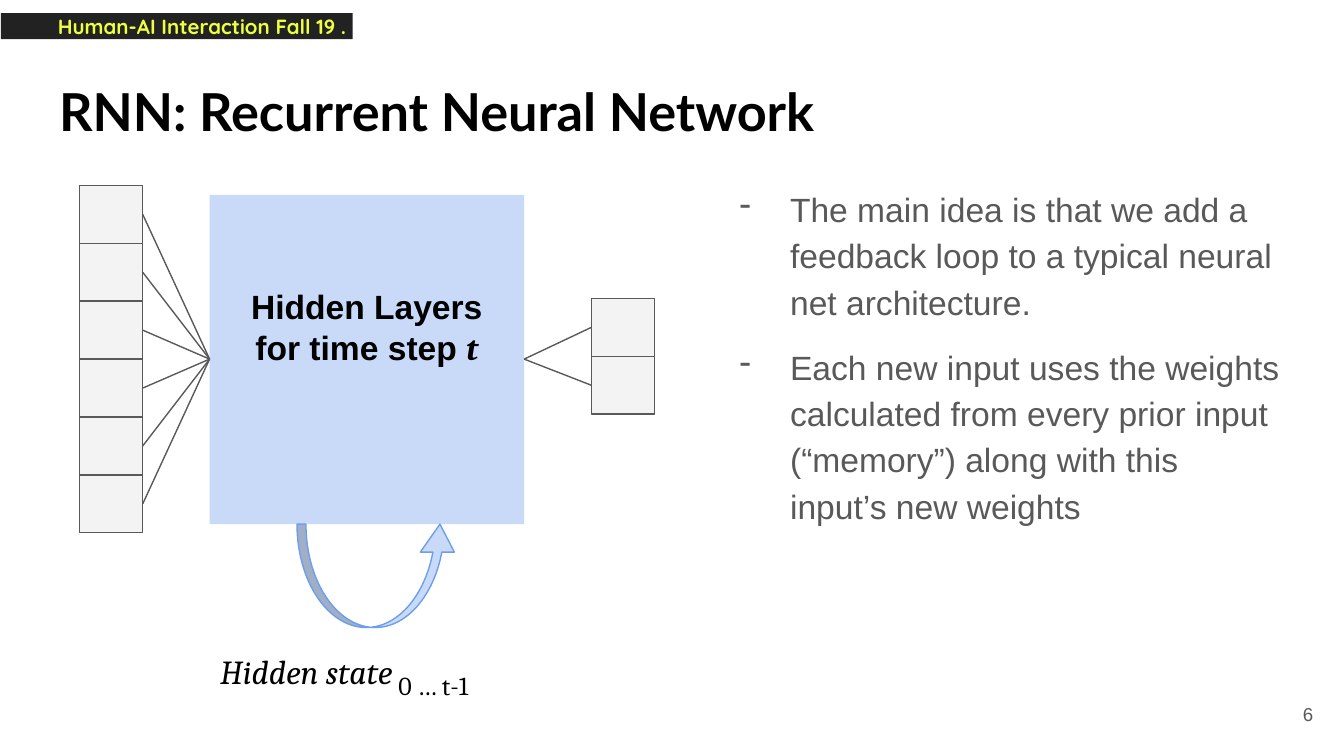
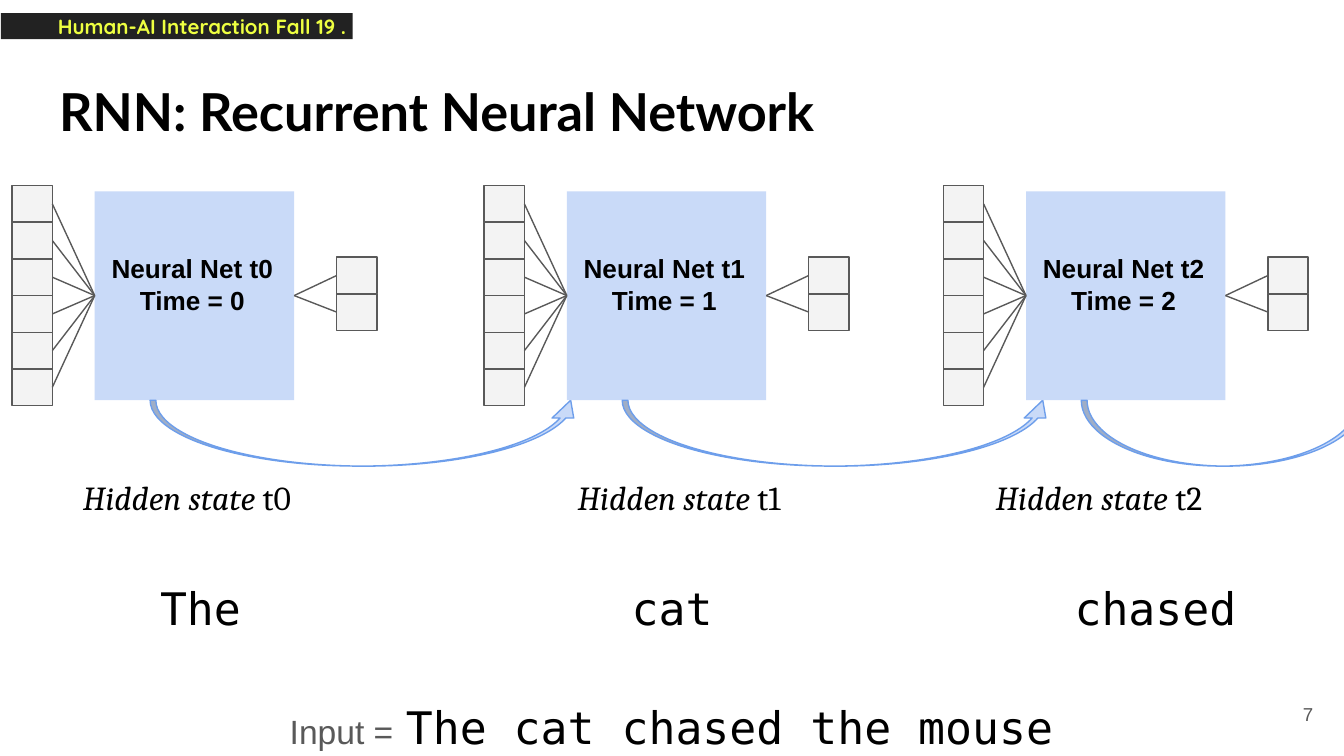
"""Build two slides that explain recurrent neural networks."""
from lxml.etree import SubElement
from pptx import Presentation
from pptx.dml.color import RGBColor
from pptx.enum.shapes import MSO_CONNECTOR, MSO_SHAPE
from pptx.enum.text import MSO_ANCHOR, MSO_AUTO_SIZE, PP_ALIGN
from pptx.oxml.ns import qn
from pptx.util import Pt

BLACK = RGBColor(0x00, 0x00, 0x00)
GREY = RGBColor(0x59, 0x59, 0x59)
CELL_FILL = RGBColor(0xF3, 0xF3, 0xF3)
PALE_BLUE = RGBColor(0xC9, 0xDA, 0xF8)
LOOP_BLUE = RGBColor(0x6D, 0x9E, 0xEB)
BAND_DARK = RGBColor(0x22, 0x22, 0x22)
BAND_YELLOW = RGBColor(0xEE, 0xFF, 0x41)

SANS, SERIF, MONO = "Arial", "Cambria", "DejaVu Sans Mono"
TITLE = "RNN: Recurrent Neural Network"
COURSE = "Human-AI Interaction Fall 19 ."

INSET = 7.2
NET_TOP = 99.4
CELL_W, CELL_H = 34, 31
INPUTS, OUTPUTS = 6, 2
HIDDEN_X, HIDDEN_Y, HIDDEN_W, HIDDEN_H = 69.8, 5, 168.5, 176.4
OUTPUT_X, OUTPUT_Y = 274.3, 60.5
LOOP_X = 116.6
UNROLLED_SCALE = 0.634


def style_font(font, size=None, name=None, color=None, bold=None, italic=None):
    """Apply the given font settings and leave the others alone."""
    if size:
        font.size = Pt(size)
    if name:
        font.name = name
    if color is not None:
        font.color.rgb = color
    if bold is not None:
        font.bold = bold
    if italic is not None:
        font.italic = italic


def set_frame(frame, anchor=MSO_ANCHOR.TOP, left=INSET, top=INSET):
    """Give a text frame wrapping, fixed size, insets and an anchor."""
    frame.word_wrap = True
    frame.auto_size = MSO_AUTO_SIZE.NONE
    frame.vertical_anchor = anchor
    frame.margin_left, frame.margin_right = Pt(left), Pt(INSET)
    frame.margin_top = frame.margin_bottom = Pt(top)


def write_line(paragraph, runs, align=PP_ALIGN.LEFT, **style):
    """Fill a paragraph with (text, font overrides) runs."""
    paragraph.alignment = align
    style_font(paragraph.font, **style)
    for text, overrides in runs:
        run = paragraph.add_run()
        run.text = text
        style_font(run.font, **overrides)
    return paragraph


def add_label(slide, left, top, width, height, lines, anchor=MSO_ANCHOR.TOP,
              spacing=None, **style):
    """Add a text box with one paragraph per line of runs."""
    frame = slide.shapes.add_textbox(
        Pt(left), Pt(top), Pt(width), Pt(height)).text_frame
    set_frame(frame, anchor)
    for number, runs in enumerate(lines):
        paragraph = frame.add_paragraph() if number else frame.paragraphs[0]
        if spacing:
            paragraph.line_spacing = spacing
        write_line(paragraph, runs, **style)
    return frame


def add_bullets(slide, left, top, width, height, points):
    """Add a list with hanging dashes."""
    frame = slide.shapes.add_textbox(
        Pt(left), Pt(top), Pt(width), Pt(height)).text_frame
    set_frame(frame)
    for number, point in enumerate(points):
        paragraph = frame.add_paragraph() if number else frame.paragraphs[0]
        paragraph.line_spacing = 1.15
        if number:
            paragraph.space_before = Pt(10)
        properties = paragraph._p.get_or_add_pPr()
        properties.set("marL", str(Pt(36)))
        properties.set("indent", str(-Pt(27)))
        dash_color = SubElement(properties, qn("a:buClr"))
        SubElement(dash_color, qn("a:srgbClr"), val=str(GREY))
        SubElement(properties, qn("a:buChar"), char="-")
        write_line(paragraph, [(point, {})], size=18, name=SANS, color=GREY)


def add_block(slide, kind, left, top, width, height, fill, outline=None):
    """Add a filled preset shape with an optional thin outline."""
    block = slide.shapes.add_shape(
        kind, Pt(left), Pt(top), Pt(width), Pt(height))
    block.shadow.inherit = False
    block.fill.solid()
    block.fill.fore_color.rgb = fill
    if outline is None:
        block.line.fill.background()
    else:
        block.line.color.rgb = outline
        block.line.width = Pt(0.75)
    return block


def add_link(slide, start, end):
    """Draw a thin grey line between two points."""
    link = slide.shapes.add_connector(
        MSO_CONNECTOR.STRAIGHT, *(Pt(value) for value in (*start, *end)))
    link.line.color.rgb = GREY
    link.line.width = Pt(0.75)
    SubElement(link._element.spPr, qn("a:effectLst"))


def add_cells(slide, left, top, count, scale, link_x, hub):
    """Stack unit cells and link each one to the hub."""
    width, height = CELL_W * scale, CELL_H * scale
    for row in range(count):
        cell_top = top + row * height
        add_block(slide, MSO_SHAPE.RECTANGLE, left, cell_top, width, height,
                  CELL_FILL, GREY)
        add_link(slide, (link_x, cell_top + height / 2), hub)


def add_loop(slide, left, top, span, drop):
    """Add a curved arrow that hangs below and points back up."""
    loop = add_block(slide, MSO_SHAPE.CURVED_RIGHT_ARROW,
                     left + (span - drop) / 2, top + (drop - span) / 2,
                     drop, span, PALE_BLUE, LOOP_BLUE)
    loop.rotation = 270
    for index, value in enumerate((0.087, 0.329, 0.27)):
        loop.adjustments[index] = value


def add_network(slide, left, scale, loop_span, loop_drop):
    """Draw inputs, hidden block, outputs and the feedback loop."""
    hidden_left = left + HIDDEN_X * scale
    hidden_right = hidden_left + HIDDEN_W * scale
    hidden_top = NET_TOP + HIDDEN_Y * scale
    hidden_height = HIDDEN_H * scale
    output_left = left + OUTPUT_X * scale
    hub_y = NET_TOP + INPUTS * CELL_H * scale / 2
    add_block(slide, MSO_SHAPE.RECTANGLE, hidden_left, hidden_top,
              HIDDEN_W * scale, hidden_height, PALE_BLUE)
    add_cells(slide, left, NET_TOP, INPUTS, scale,
              left + CELL_W * scale, (hidden_left, hub_y))
    add_cells(slide, output_left, NET_TOP + OUTPUT_Y * scale, OUTPUTS, scale,
              output_left, (hidden_right, hub_y))
    add_loop(slide, left + LOOP_X * scale, hidden_top + hidden_height,
             loop_span, loop_drop)


def start_slide(deck, number):
    """Add a slide with the course band, title and page number."""
    slide = deck.slides.add_slide(deck.slide_layouts[5])
    band = add_block(slide, MSO_SHAPE.RECTANGLE, 0.5, 7, 188.5, 14, BAND_DARK)
    set_frame(band.text_frame, MSO_ANCHOR.MIDDLE, left=30.5, top=0)
    band.text_frame.word_wrap = False
    write_line(band.text_frame.paragraphs[0], [(COURSE, {})],
               size=11, name="Quicksand", color=BAND_YELLOW, bold=True)

    title = slide.shapes.title
    title.left, title.top = Pt(24.5), Pt(35.3)
    title.width, title.height = Pt(671), Pt(45.4)
    set_frame(title.text_frame)
    write_line(title.text_frame.paragraphs[0], [(TITLE, {})],
               size=28, name="Lato", color=BLACK, bold=True)

    add_label(slide, 667.4, 367.2, 43.2, 31, [[(str(number), {})]],
              MSO_ANCHOR.MIDDLE, align=PP_ALIGN.RIGHT,
              size=10, name=SANS, color=GREY)
    return slide


def build_overview(deck):
    """Show one recurrent network beside its explanation."""
    slide = start_slide(deck, 6)
    add_network(slide, 42.5, 1, loop_span=85.7, loop_drop=55.4)
    add_label(slide, 112.3, 146.2, 168.5, 58.3,
              [[("Hidden Layers", {})],
               [("for time step ", {}), ("t", {"name": SERIF, "italic": True})]],
              align=PP_ALIGN.CENTER, size=18, name=SANS, color=BLACK, bold=True)
    add_bullets(slide, 380.2, 90.7, 314.6, 269.3, [
        "The main idea is that we add a feedback loop to a typical neural "
        "net architecture.",
        "Each new input uses the weights calculated from every prior input "
        "(“memory”) along with this input’s new weights"])
    state = add_label(slide, 110.9, 335.5, 195.8, 59.8,
                      [[("Hidden state", {"size": 18, "italic": True}),
                        (" 0 … t-1", {"size": 24})]],
                      name=SERIF, color=BLACK)
    subscript = state.paragraphs[0].runs[1]
    subscript._r.get_or_add_rPr().set("baseline", "-25000")


def build_unrolled(deck):
    """Show the network unrolled over the first three words."""
    slide = start_slide(deck, 7)
    steps = [
        (6.5, 231.1, 37.4, "The", 107.4),
        (259.4, 231.1, 302.4, "cat", 360.1),
        (505.4, 156.2, 526.3, "chased", 619),
    ]
    for step, (left, span, state_left, word, word_center) in enumerate(steps):
        add_network(slide, left, UNROLLED_SCALE, span, loop_drop=35.3)
        add_label(slide, left + 44, 128.2, 105.1, 59.8,
                  [[(f"Neural Net t{step}", {})], [(f"Time = {step}", {})]],
                  align=PP_ALIGN.CENTER, size=14, name=SANS, color=BLACK,
                  bold=True)
        add_label(slide, state_left, 248.4, 155, 37.4,
                  [[("Hidden state ", {"italic": True}), (f"t{step}", {})]],
                  size=18, name=SERIF, color=BLACK)
        add_label(slide, word_center - 67, 299.5, 134, 37.4, [[(word, {})]],
                  spacing=1.15, align=PP_ALIGN.CENTER,
                  size=24, name=MONO, color=BLACK)
    add_label(slide, 110.2, 363.6, 499, 37.4,
              [[("Input =", {"size": 18}), (" ", {"size": 24}),
                ("The cat chased the mouse",
                 {"size": 24, "name": MONO, "color": BLACK})]],
              spacing=1.15, align=PP_ALIGN.CENTER, name=SANS, color=GREY)


def main():
    """Build the deck and save it."""
    deck = Presentation()
    deck.slide_width, deck.slide_height = Pt(720), Pt(405)
    build_overview(deck)
    build_unrolled(deck)
    deck.save("out.pptx")


if __name__ == "__main__":
    main()
